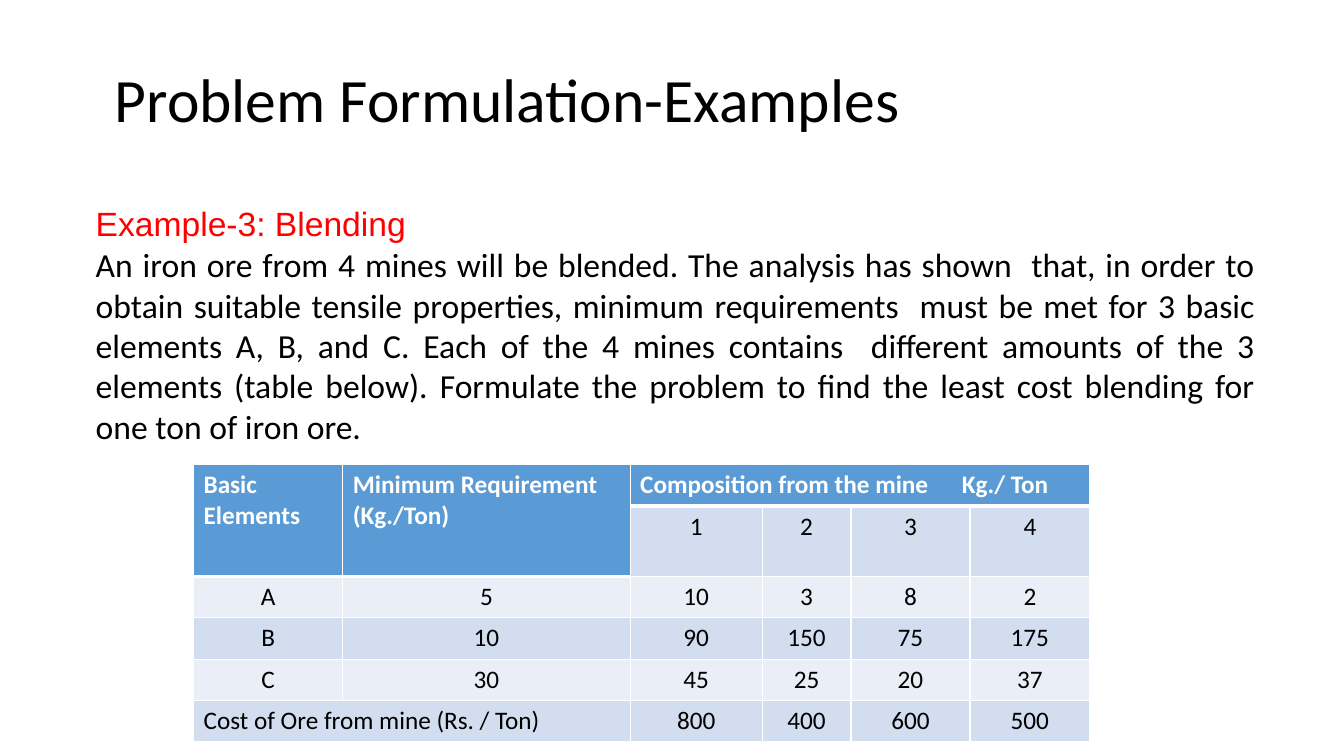
from dataclasses import dataclass

from lxml import etree
from pptx import Presentation
from pptx import util as u
from pptx.dml.color import RGBColor
from pptx.enum import text
from pptx.oxml.ns import qn

PX = 9144  # EMU per px, 100 px to the inch
BLACK, WHITE, RED = "000000", "FFFFFF", "FF0000"
HEADER, BAND_DARK, BAND_LIGHT = "5B9BD5", "D2DEEF", "EAEFF7"
LEFT, CENTER, JUSTIFY = text.PP_ALIGN.LEFT, text.PP_ALIGN.CENTER, text.PP_ALIGN.JUSTIFY


@dataclass
class Line:
    words: str
    size: int
    font: str = "Calibri"
    color: str = BLACK
    bold: bool = False
    align: text.PP_ALIGN = LEFT
    before: int = 0
    spacing: float = 1.0


@dataclass
class TextBlock:
    left: int
    top: int
    width: int
    height: int
    lines: list[Line]
    margins: tuple[int, int, int, int] = (10, 5, 10, 5)
    anchor: text.MSO_ANCHOR = text.MSO_ANCHOR.TOP


def px(length: int) -> u.Emu:
    return u.Emu(length * PX)


def rgb(color: str) -> RGBColor:
    return RGBColor.from_string(color)


def write(para, words: str, *, size: int, font: str = "Calibri", color: str = BLACK,
          bold: bool = False, align=LEFT, before: int = 0, spacing: float = 1.0) -> None:
    para.alignment = align
    para.space_before = u.Pt(before)
    para.line_spacing = spacing
    span = para.add_run()
    span.text = words
    span.font.size = u.Pt(size)
    span.font.name = font
    span.font.bold = bold
    span.font.color.rgb = rgb(color)


def draw_text(page, block: TextBlock) -> None:
    box = page.shapes.add_textbox(px(block.left), px(block.top), px(block.width), px(block.height))
    frame = box.text_frame
    frame.word_wrap = True
    frame.vertical_anchor = block.anchor
    (frame.margin_left, frame.margin_top,
     frame.margin_right, frame.margin_bottom) = map(px, block.margins)
    for index, line in enumerate(block.lines):
        para = frame.add_paragraph() if index else frame.paragraphs[0]
        write(para, line.words, size=line.size, font=line.font, color=line.color, bold=line.bold,
              align=line.align, before=line.before, spacing=line.spacing)


def set_borders(cell, top: int, bottom: int) -> None:
    properties = cell._tc.get_or_add_tcPr()
    for index, (side, points) in enumerate((("L", 1), ("R", 1), ("T", top), ("B", bottom))):
        border = etree.Element(qn(f"a:ln{side}"), w=str(u.Pt(points)))
        fill = etree.SubElement(border, qn("a:solidFill"))
        etree.SubElement(fill, qn("a:srgbClr"), val=WHITE)
        properties.insert(index, border)


def add_tab(para, position: int) -> None:
    tabs = etree.SubElement(para._p.get_or_add_pPr(), qn("a:tabLst"))
    etree.SubElement(tabs, qn("a:tab"), pos=str(px(position)), algn="l")


TITLE = TextBlock(104, 29, 1150, 145, [Line("Problem Formulation-Examples", 44, spacing=0.9)],
                  anchor=text.MSO_ANCHOR.MIDDLE)
BODY = TextBlock(95, 200, 1150, 538, [
    Line("Example-3: Blending", 24, "Arial", RED, align=JUSTIFY, before=1),
    Line("An iron ore from 4 mines will be blended. The analysis has shown  that, in order to "
         "obtain suitable tensile properties, minimum requirements  must be met for 3 basic "
         "elements A, B, and C. Each of the 4 mines contains  different amounts of the 3 "
         "elements (table below). Formulate the problem to find the least cost blending for "
         "one ton of iron ore.", 24, align=JUSTIFY, before=1),
], margins=(0, 1, 0, 0))

COLUMNS = (148, 285, 131, 88, 118, 119)
ROW_HEIGHT = 41
UNIT_TAB = 319
COST_LABEL = "Cost of Ore from mine (Rs. / Ton)"
ROWS = (
    ("Basic Elements", "Minimum Requirement (Kg./Ton)", "Composition from the mine\tKg./ Ton", "", "", ""),
    ("", "", "1", "2", "3", "4"),
    ("A", "5", "10", "3", "8", "2"),
    ("B", "10", "90", "150", "75", "175"),
    ("C", "30", "45", "25", "20", "37"),
    (COST_LABEL, "", "800", "400", "600", "500"),
)
MERGES = (((0, 0), (1, 0)), ((0, 1), (1, 1)), ((0, 2), (0, 5)), ((5, 0), (5, 1)))


def draw_table(page) -> None:
    table = page.shapes.add_table(len(ROWS), len(COLUMNS), px(192), px(461), px(sum(COLUMNS)),
                                  px(ROW_HEIGHT * len(ROWS))).table
    for column, width in zip(table.columns, COLUMNS):
        column.width = px(width)
    for row in table.rows:
        row.height = px(ROW_HEIGHT)
    for first, last in MERGES:
        table.cell(*first).merge(table.cell(*last))

    for r, values in enumerate(ROWS):
        for c, words in enumerate(values):
            cell = table.cell(r, c)
            header = r == 0 or (r == 1 and c < 2)
            cell.fill.solid()
            cell.fill.fore_color.rgb = rgb(HEADER if header else BAND_DARK if r % 2 else BAND_LIGHT)
            # A thick rule separates the header from the cells under it
            under_header = (r == 1 and c >= 2) or (r == 2 and c < 2)
            set_borders(cell, top=3 if under_header else 1, bottom=3 if header else 1)
            if words:
                para = cell.text_frame.paragraphs[0]
                write(para, words, size=18, color=WHITE if header else BLACK, bold=header,
                      align=LEFT if header or words == COST_LABEL else CENTER)
                if "\t" in words:
                    add_tab(para, UNIT_TAB)


def main() -> None:
    deck = Presentation()
    deck.slide_width, deck.slide_height = px(1333), px(750)
    page = deck.slides.add_slide(deck.slide_layouts[6])

    # Title and problem statement
    for block in (TITLE, BODY):
        draw_text(page, block)

    # Ore composition
    draw_table(page)
    deck.save("out.pptx")


if __name__ == "__main__":
    main()
